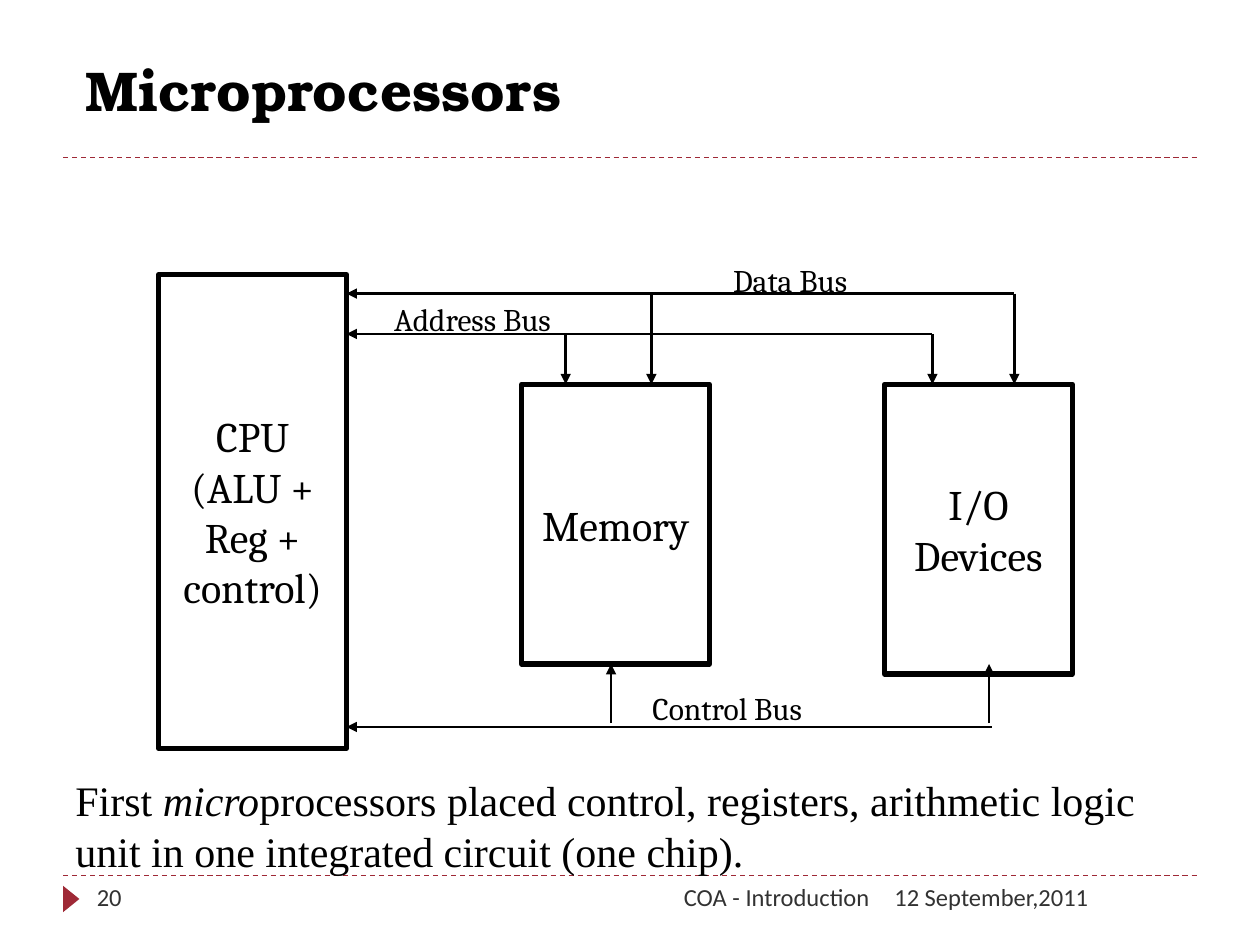
from lxml.etree import SubElement
from pptx import Presentation
from pptx.dml.color import RGBColor
from pptx.enum.dml import MSO_LINE
from pptx.enum.shapes import MSO_CONNECTOR, MSO_SHAPE
from pptx.enum.text import MSO_ANCHOR, MSO_AUTO_SIZE, PP_ALIGN
from pptx.oxml.ns import qn
from pptx.util import Inches, Pt

BLACK = RGBColor(0x00, 0x00, 0x00)
WHITE = RGBColor(0xFF, 0xFF, 0xFF)
GREY = RGBColor(0x32, 0x32, 0x32)
RED = RGBColor(0x9F, 0x29, 0x36)

# The slide is a grid of 100 columns by 75 rows of square cells
COLUMNS, ROWS = 100, 75
CELL = Inches(0.1)

BLOCK_WIDTH = 14.9
CPU_LEFT, MEMORY_LEFT, IO_LEFT = 12.6, 41.4, 70.2
CPU_RIGHT = CPU_LEFT + BLOCK_WIDTH
BLOCK_TOP, MEMORY_BOTTOM = 30.5, 52.7
DATA_ROW, ADDRESS_ROW, CONTROL_ROW = 23.3, 26.5, 57.7


def cells(*counts):
    return [round(count * CELL) for count in counts]


def style(para, font, size, color=BLACK, align=PP_ALIGN.LEFT):
    para.alignment = align
    para.font.name = font
    para.font.size = Pt(size)
    para.font.color.rgb = color


def add_text(page, place, text, font, size, color=BLACK, align=PP_ALIGN.LEFT):
    box = page.shapes.add_textbox(*cells(*place))
    frame = box.text_frame
    frame.word_wrap = True
    frame.text = text
    style(frame.paragraphs[0], font, size, color, align)
    return frame


def add_bus_label(page, place, text):
    frame = add_text(page, place, text, "Cambria", 18)
    frame.word_wrap = False
    frame.auto_size = MSO_AUTO_SIZE.SHAPE_TO_FIT_TEXT


def add_block(page, left, top, height, text):
    block = page.shapes.add_shape(
        MSO_SHAPE.RECTANGLE, *cells(left, top, BLOCK_WIDTH, height))
    block.shadow.inherit = False
    block.fill.solid()
    block.fill.fore_color.rgb = WHITE
    block.line.color.rgb = BLACK
    block.line.width = Pt(3)
    frame = block.text_frame
    frame.word_wrap = False
    frame.vertical_anchor = MSO_ANCHOR.MIDDLE
    frame.text = text
    for para in frame.paragraphs:
        style(para, "Cambria", 24, align=PP_ALIGN.CENTER)


def add_line(page, start, end, color=BLACK, width=1.5):
    line = page.shapes.add_connector(
        MSO_CONNECTOR.STRAIGHT, *cells(*start, *end))
    line.line.color.rgb = color
    line.line.width = Pt(width)
    SubElement(line._element.spPr, qn("a:effectLst"))
    return line


def add_arrow(page, start, end, tip):
    """Draw an arrow; tip is headEnd (at start) or tailEnd (at end)."""
    arrow = add_line(page, start, end)
    SubElement(arrow.line._get_or_add_ln(), qn(f"a:{tip}"), type="triangle")


def add_bus(page, row, right):
    add_arrow(page, (CPU_RIGHT, row), (right, row), "headEnd")


def add_branch(page, column, bus_row, block_row):
    add_arrow(page, (column, bus_row), (column, block_row), "tailEnd")


def add_frame(page):
    # Dashed rules above and below the content
    for row in (69.5, 12.5):
        rule = add_line(page, (5, row), (95, row), RED, 0.75)
        rule.line.dash_style = MSO_LINE.DASH
    # Page marker
    marker = page.shapes.add_shape(
        MSO_SHAPE.ISOSCELES_TRIANGLE, *cells(4.6, 70.7, 2.1, 1.3))
    marker.rotation = 90
    marker.shadow.inherit = False
    marker.fill.solid()
    marker.fill.fore_color.rgb = RED
    marker.line.fill.background()
    # Footer
    for left, width, text, align in (
            (70, 25, "12 September,2011", PP_ALIGN.LEFT),
            (31.7, 38.3, "COA - Introduction", PP_ALIGN.RIGHT),
            (6.7, 21.7, "20", PP_ALIGN.LEFT)):
        add_text(page, (left, 69.5, width, 4), text, "Calibri", 14, GREY, align)


def add_caption(page):
    frame = add_text(page, (5, 61, 88.3, 9), "", "Times New Roman", 24)
    para = frame.paragraphs[0]
    for text, italic in (
            ("First ", False), ("micro", True),
            ("processors placed control, registers, arithmetic logic "
             "unit in one integrated circuit (one chip).", False)):
        span = para.add_run()
        span.text = text
        span.font.italic = italic


def add_diagram(page):
    # Blocks; \v breaks a line inside a paragraph
    add_block(page, IO_LEFT, BLOCK_TOP, 23, "I/O\nDevices")
    add_block(page, MEMORY_LEFT, BLOCK_TOP, MEMORY_BOTTOM - BLOCK_TOP, "Memory")
    add_block(page, CPU_LEFT, 21.8, 37.6, "CPU\v(ALU +\vReg +\vcontrol)")

    # Buses into the CPU
    add_bus(page, DATA_ROW, 80.5)
    add_bus(page, ADDRESS_ROW, 74)
    add_bus(page, CONTROL_ROW, 78.7)

    # Branches to memory and devices
    for row, columns in ((DATA_ROW, (51.7, 80.5)), (ADDRESS_ROW, (44.9, 74))):
        for column in columns:
            add_branch(page, column, row, BLOCK_TOP)
    for column in (48.5, 78.5):
        add_branch(page, column, CONTROL_ROW - 0.3, MEMORY_BOTTOM)

    # Bus names
    add_bus_label(page, (57.2, 20.2, 12.3, 4), "Data Bus")
    add_bus_label(page, (30.3, 23.3, 16.2, 4), "Address Bus")
    add_bus_label(page, (50.8, 54.2, 15.1, 4), "Control Bus")


def main():
    deck = Presentation()
    deck.slide_width, deck.slide_height = cells(COLUMNS, ROWS)
    page = deck.slides.add_slide(deck.slide_layouts[6])

    add_frame(page)
    title = add_text(page, (5.8, 1.7, 84.2, 10.8), "Microprocessors",
                     "TeX Gyre Bonum", 32)
    title.vertical_anchor = MSO_ANCHOR.MIDDLE
    title.paragraphs[0].font.bold = True
    add_caption(page)
    add_diagram(page)

    deck.save("out.pptx")


if __name__ == "__main__":
    main()
